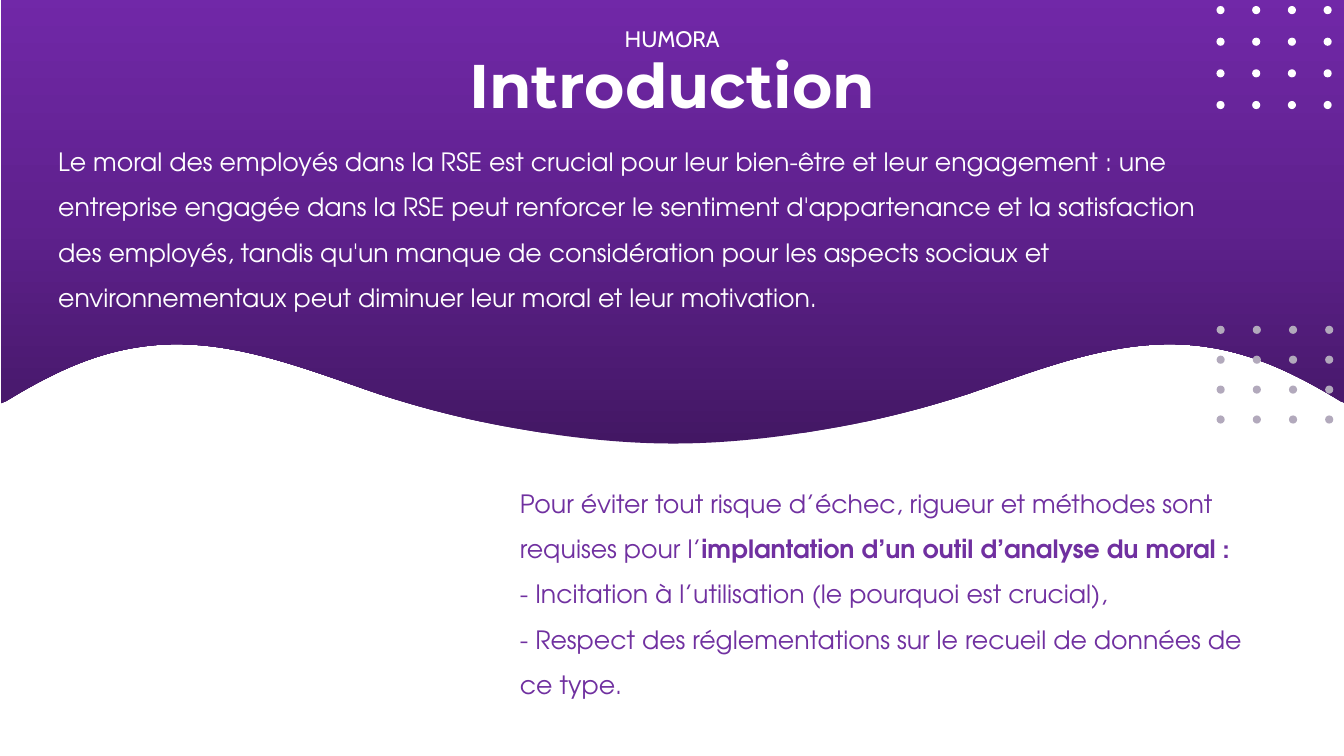
from copy import deepcopy
from dataclasses import dataclass

from lxml.etree import Element
from pptx import Presentation
from pptx.dml.color import RGBColor
from pptx.enum.shapes import MSO_SHAPE
from pptx.enum.text import MSO_ANCHOR, MSO_AUTO_SIZE, PP_ALIGN
from pptx.oxml.ns import qn
from pptx.util import Pt

TITLE = "Introduction"
SUBTITLE = "HUMORA"
# Paragraphs are lists of (text, bold) runs.
MORALE = [
    [("Le moral des employés dans la RSE est crucial pour leur bien-être et leur "
      "engagement : une entreprise engagée dans la RSE peut renforcer le sentiment "
      "d'appartenance et la satisfaction des employés, tandis qu'un manque de "
      "considération pour les aspects sociaux et environnementaux peut diminuer "
      "leur moral et leur motivation.", False)],
]
METHOD = [
    [("Pour éviter tout risque d’échec, rigueur et méthodes sont requises pour l’", False),
     ("implantation d’un outil d’analyse du moral :", True)],
    [("- Incitation à l’utilisation (le pourquoi est crucial),", False)],
    [("- Respect des réglementations sur le recueil de données de ce type.", False)],
]


@dataclass(frozen=True)
class Theme:
    white: str = "FFFFFF"
    purple: str = "7030A0"
    grey: str = "B2A9BC"
    gradient: tuple = ((0, "431764"), (0.5, "5F218E"), (1, "7128A8"))
    title_font: str = "Montserrat"
    subtitle_font: str = "Cabin"
    body_font: str = "TeX Gyre Adventor"
    title_size: int = 44
    subtitle_size: int = 16
    body_size: int = 18


THEME = Theme()

# Geometry in points
WIDTH, HEIGHT = 960, 540
WAVE_LEFT, WAVE_RIGHT, WAVE_TOP = 0.72, 961.2, -6.5
# Left half of the wave: two straight points, then two control points
# and an end point per curve
WAVE_EDGE = [(WAVE_LEFT, 288), (4.3, 286.6)]
WAVE_CURVES = [
    (33.8, 268.6), (64.8, 252.7), (100.8, 247.7),
    (159.1, 239), (216, 262.8), (270.7, 281.5),
    (303.8, 292.3), (338.4, 301), (373, 306.7),
    (408, 312.8), (445, 316.8), (480.96, 316.8),
]
DOT, DOT_COUNT = 5.8, 4
# left, top, column pitch, row pitch, colour
DOT_GRIDS = [
    (868.9, 4.3, 25.5, 22.6, THEME.white),
    (869, 232.7, 25.85, 21.35, THEME.grey),
]
TITLE_BOX = (260.6, 18, 439.2, 90)
SUBTITLE_BOX = (260.6, 12.9, 439.2, 31.7)
MORALE_BOX = (34.5, 91.5, 858.2, 133.9)
METHOD_BOX = (364.3, 334.2, 555.8, 167)


def bend(lines):
    """Turn every three line segments into one cubic curve."""
    for i in range(0, len(lines), 3):
        curve = Element(qn("a:cubicBezTo"))
        lines[i].addprevious(curve)
        for line in lines[i:i + 3]:
            curve.append(line[0])
            line.getparent().remove(line)


def add_wave(shapes):
    half = WAVE_EDGE + WAVE_CURVES
    mirrored = [(WAVE_LEFT + WAVE_RIGHT - x, y) for x, y in reversed(half[:-1])]
    outline = half + mirrored + [(WAVE_RIGHT, WAVE_TOP)]
    builder = shapes.build_freeform(Pt(WAVE_LEFT), Pt(WAVE_TOP))
    builder.add_line_segments([(Pt(x), Pt(y)) for x, y in outline], close=True)
    sp = builder.convert_to_shape()
    first_curve = len(WAVE_EDGE)
    lines = sp._element.spPr.xpath(".//a:lnTo")
    bend(lines[first_curve:first_curve + 2 * len(WAVE_CURVES)])
    sp.shadow.inherit = False
    sp.line.fill.background()
    sp.fill.gradient()
    sp.fill.gradient_angle = 90
    first = sp._element.spPr.xpath("./a:gradFill/a:gsLst/a:gs")[0]
    first.addnext(deepcopy(first))
    for stop, (position, color) in zip(sp.fill.gradient_stops, THEME.gradient):
        stop.position = position
        stop.color.rgb = RGBColor.from_string(color)


def add_dots(shapes, left, top, dx, dy, color):
    group = shapes.add_group_shape()
    for row in reversed(range(DOT_COUNT)):
        for col in reversed(range(DOT_COUNT)):
            dot = group.shapes.add_shape(
                MSO_SHAPE.OVAL, Pt(left + col * dx), Pt(top + row * dy), Pt(DOT), Pt(DOT))
            dot.shadow.inherit = False
            dot.fill.solid()
            dot.fill.fore_color.rgb = RGBColor.from_string(color)
            dot.line.fill.background()


def style_font(font, name, size, color, bold=False):
    font.name, font.size, font.bold = name, Pt(size), bold
    font.color.rgb = RGBColor.from_string(color)


def format_heading(sp, text, box, name, size, bold):
    sp.left, sp.top, sp.width, sp.height = map(Pt, box)
    tf = sp.text_frame
    tf.text = text
    tf.word_wrap = True
    tf.auto_size = MSO_AUTO_SIZE.NONE
    tf.vertical_anchor = MSO_ANCHOR.MIDDLE
    p = tf.paragraphs[0]
    p.alignment = PP_ALIGN.CENTER
    p.line_spacing = 0.9
    style_font(p.runs[0].font, name, size, THEME.white, bold)


def add_body(shapes, paragraphs, box, color, anchor):
    tf = shapes.add_textbox(*map(Pt, box)).text_frame
    tf.word_wrap = True
    tf.auto_size = MSO_AUTO_SIZE.SHAPE_TO_FIT_TEXT
    tf.vertical_anchor = anchor
    for i, runs in enumerate(paragraphs):
        p = tf.add_paragraph() if i else tf.paragraphs[0]
        p.line_spacing = 1.5
        for text, bold in runs:
            r = p.add_run()
            r.text = text
            style_font(r.font, THEME.body_font, THEME.body_size, color, bold)


def main():
    prs = Presentation()
    prs.slide_width, prs.slide_height = Pt(WIDTH), Pt(HEIGHT)
    shapes = prs.slides.add_slide(prs.slide_layouts[5]).shapes
    title = shapes.title

    add_wave(shapes)
    for grid in DOT_GRIDS:
        add_dots(shapes, *grid)

    shapes._spTree.append(title._element)  # bring the title in front of the wave
    format_heading(title, TITLE, TITLE_BOX, THEME.title_font, THEME.title_size, True)
    subtitle = shapes.add_textbox(*map(Pt, SUBTITLE_BOX))
    format_heading(subtitle, SUBTITLE, SUBTITLE_BOX,
                   THEME.subtitle_font, THEME.subtitle_size, False)

    add_body(shapes, MORALE, MORALE_BOX, THEME.white, MSO_ANCHOR.MIDDLE)
    add_body(shapes, METHOD, METHOD_BOX, THEME.purple, MSO_ANCHOR.TOP)
    prs.save("out.pptx")


if __name__ == "__main__":
    main()
